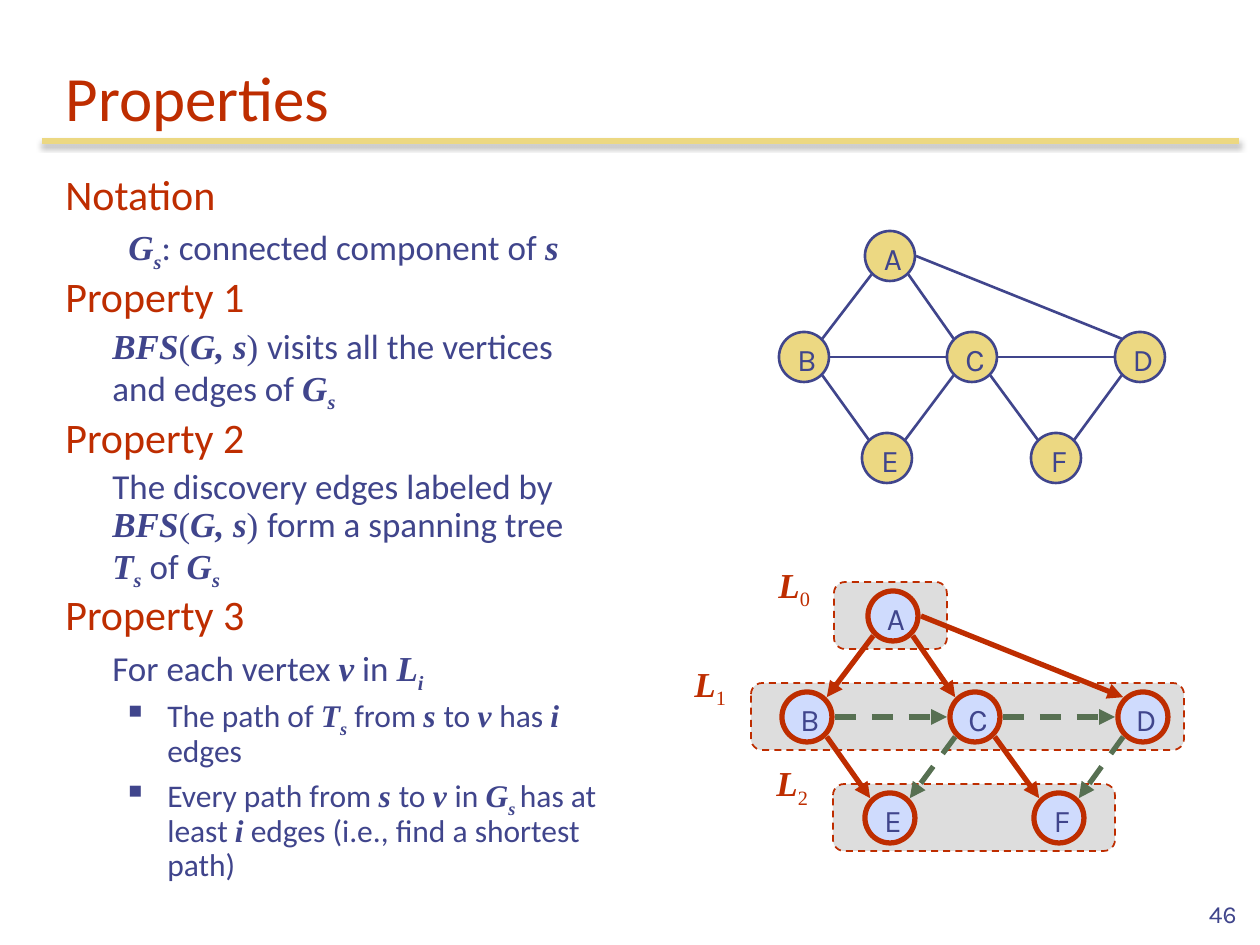
from dataclasses import dataclass
from math import copysign, hypot
from typing import NamedTuple

from pptx import Presentation
from pptx.dml.color import RGBColor
from pptx.enum.dml import MSO_LINE
from pptx.enum.shapes import MSO_CONNECTOR, MSO_SHAPE
from pptx.enum.text import MSO_ANCHOR, MSO_AUTO_SIZE, PP_ALIGN
from pptx.oxml import parse_xml
from pptx.oxml.ns import nsdecls, qn
from pptx.util import Emu, Pt

EMU_PER_PX = 914400 / 126
RED, NAVY, YELLOW, GREEN = "BE2D00", "40458C", "ECD882", "577052"
PALE_BLUE, GREY = "CFDBFD", "DDDDDD"
SANS, SERIF, LABEL_FONT = "Calibri", "Times New Roman", "Karla"
NODE_SIZE = 50


class Span(NamedTuple):
    text: str
    font: str = SANS
    strong: bool = False
    subscript: bool = False


class Para(NamedTuple):
    spans: list
    size: int = 20
    color: str = NAVY
    margin: int = 47
    bullet: bool = False


class Box(NamedTuple):
    left: int
    top: int
    width: int
    height: int


class Level(NamedTuple):
    number: str
    band: Box
    label: Box


@dataclass
class GraphStyle:
    shift: tuple
    fill: str
    line: str
    weight: float
    reach: int  # distance from a node's centre to the end of an edge
    arrows: bool = False
    cross_edges: tuple = ()


NODES = {"A": (890, 256), "B": (804, 357), "C": (972, 357),
         "D": (1140, 357), "E": (887, 458), "F": (1056, 458)}
EDGES = ("AB", "AC", "AD", "BC", "CD", "BE", "CE", "CF", "DF")
GRAPHS = (
    GraphStyle((0, 0), YELLOW, NAVY, 1.5, 26),
    GraphStyle((3, 360), PALE_BLUE, RED, 3, 28, True, ("BC", "CD", "CE", "DF")),
)
LEVELS = (
    Level("0", Box(834, 582, 113, 67), Box(766, 557, 64, 54)),
    Level("1", Box(751, 683, 433, 67), Box(682, 656, 64, 54)),
    Level("2", Box(833, 784, 282, 67), Box(764, 755, 64, 54)),
)


def math(text: str) -> Span:
    return Span(text, SERIF, strong=True)


def upright(text: str) -> Span:
    return Span(text, SERIF)


def sub(text: str) -> Span:
    return Span(text, SERIF, strong=True, subscript=True)


def heading(text: str) -> Para:
    return Para([Span(text)], 24, RED, 0)


def bullet(*spans: Span) -> Para:
    return Para(list(spans), 18, margin=102, bullet=True)


BFS_CALL = [math("BFS"), upright("("), math("G, s"), upright(") ")]
G_S = [math("G"), sub("s")]
T_S = [math("T"), sub("s")]
BODY = (
    heading("Notation"),
    Para([*G_S, Span(": connected component of "), math("s")], margin=63),
    heading("Property 1"),
    Para([*BFS_CALL, Span("visits all the vertices and edges of "), *G_S]),
    heading("Property 2"),
    Para([Span("The discovery edges labeled by "), *BFS_CALL,
          Span("form a spanning tree "), *T_S, Span(" of "), *G_S]),
    heading("Property 3"),
    Para([Span("For each vertex "), math("v"), Span(" in "), math("L"), sub("i")]),
    bullet(Span("The path of "), *T_S, Span(" from "), math("s "), Span("to "),
           math("v "), Span("has "), math("i"), Span(" edges")),
    bullet(Span("Every path from "), math("s "), Span("to "), math("v "), Span("in "),
           math("G"), sub("s "), Span("has at least "), math("i"),
           Span(" edges (i.e., find a shortest path)")),
)


def px(value: float) -> Emu:
    return Emu(round(value * EMU_PER_PX))


def rgb(color: str) -> RGBColor:
    return RGBColor.from_string(color)


def set_format(target, values: dict) -> None:
    for name, value in values.items():
        setattr(target, name, value)


def add_span(paragraph, span: Span, size: int, color: str) -> None:
    run = paragraph.add_run()
    run.text = span.text
    set_format(run.font, {"name": span.font, "size": Pt(size),
                          "bold": span.strong, "italic": span.strong})
    run.font.color.rgb = rgb(color)
    if span.subscript:
        run.font._element.set("baseline", "-25000")


def add_text_box(slide, box: Box, anchor=MSO_ANCHOR.TOP):
    frame = slide.shapes.add_textbox(*map(px, box)).text_frame
    set_format(frame, {"word_wrap": True, "vertical_anchor": anchor})
    return frame


def add_body(slide, box: Box) -> None:
    frame = add_text_box(slide, box)
    for index, para in enumerate(BODY):
        paragraph = frame.add_paragraph() if index else frame.paragraphs[0]
        set_format(paragraph, {"line_spacing": 0.9, "space_before": Pt(4 if index else 0)})
        properties = paragraph._p.get_or_add_pPr()
        properties.set("marL", str(px(para.margin)))
        properties.set("indent", str(px(-39 if para.bullet else 0)))
        if para.bullet:
            for mark in (f'<a:buClr {nsdecls("a")}><a:srgbClr val="{NAVY}"/></a:buClr>',
                         f'<a:buSzPct {nsdecls("a")} val="60000"/>',
                         f'<a:buChar {nsdecls("a")} char="■"/>'):
                properties.append(parse_xml(mark))
        for span in para.spans:
            add_span(paragraph, span, para.size, para.color)


def add_outlined(slide, kind, box: Box, fill: str, line: str, weight: float):
    shape = slide.shapes.add_shape(kind, *map(px, box))
    shape.shadow.inherit = False
    shape.fill.solid()
    shape.fill.fore_color.rgb = rgb(fill)
    shape.line.color.rgb = rgb(line)
    shape.line.width = Pt(weight)
    return shape


def add_line(slide, start, end, color: str, weight: float, effects: str = ""):
    ends = [px(value) for value in (*start, *end)]
    line = slide.shapes.add_connector(MSO_CONNECTOR.STRAIGHT, *ends)
    line.line.color.rgb = rgb(color)
    line.line.width = Pt(weight)
    line._element.spPr.append(
        parse_xml(f'<a:effectLst {nsdecls("a")}>{effects}</a:effectLst>'))
    return line


def add_level(slide, level: Level) -> None:
    band = add_outlined(slide, MSO_SHAPE.ROUNDED_RECTANGLE, level.band, GREY, RED, 1)
    band.line.dash_style = MSO_LINE.DASH
    paragraph = add_text_box(slide, level.label).paragraphs[0]
    add_span(paragraph, math("L"), 20, RED)
    add_span(paragraph, Span(level.number, SERIF, subscript=True), 20, RED)


def edge_end(center, dx: int, dy: int, reach: int):
    """Point at the given reach from a node, in one of eight directions."""
    step_x, step_y = (copysign(1, d) if d else 0 for d in (dx, dy))
    scale = reach / hypot(step_x, step_y)
    return center[0] + step_x * scale, center[1] + step_y * scale


def add_graph(slide, style: GraphStyle) -> None:
    centers = {name: (x + style.shift[0], y + style.shift[1])
               for name, (x, y) in NODES.items()}
    for name, (x, y) in centers.items():
        box = Box(x - NODE_SIZE // 2, y - NODE_SIZE // 2, NODE_SIZE, NODE_SIZE)
        node = add_outlined(slide, MSO_SHAPE.OVAL, box, style.fill, style.line, style.weight)
        frame = node.text_frame
        set_format(frame, {"word_wrap": False, "vertical_anchor": MSO_ANCHOR.MIDDLE,
                           "margin_left": px(6), "margin_top": px(4),
                           "margin_right": 0, "margin_bottom": 0})
        frame.paragraphs[0].alignment = PP_ALIGN.CENTER
        add_span(frame.paragraphs[0], Span(name, LABEL_FONT), 18, NAVY)
    for edge in EDGES:
        start, end = (centers[name] for name in edge)
        dx, dy = end[0] - start[0], end[1] - start[1]
        leave_dy = 0 if abs(dx) > 2 * abs(dy) else dy
        crossing = edge in style.cross_edges
        line = add_line(slide, edge_end(start, dx, leave_dy, style.reach),
                        edge_end(end, -dx, -dy, style.reach),
                        GREEN if crossing else style.line, style.weight)
        if crossing:
            line.line.dash_style = MSO_LINE.DASH
        if style.arrows:
            line._element.spPr.find(qn("a:ln")).append(
                parse_xml(f'<a:tailEnd {nsdecls("a")} type="triangle"/>'))


def add_title(slide, text: str) -> None:
    title = slide.shapes.title
    box = Box(53, 42, 1176, 98)
    set_format(title, dict(zip(box._fields, map(px, box))))
    set_format(title.text_frame, {"vertical_anchor": MSO_ANCHOR.BOTTOM, "word_wrap": True,
                                  "auto_size": MSO_AUTO_SIZE.NONE})
    paragraph = title.text_frame.paragraphs[0]
    paragraph.alignment = PP_ALIGN.LEFT
    add_span(paragraph, Span(text), 36, RED)
    shadow = ('<a:outerShdw blurRad="39400" dist="22900" dir="5400000">'
              '<a:srgbClr val="000000"><a:alpha val="35000"/></a:srgbClr></a:outerShdw>')
    add_line(slide, (42, 141), (1239, 141), YELLOW, 3, shadow)


def main() -> None:
    deck = Presentation()
    deck.slide_width, deck.slide_height = px(1260), px(945)
    slide = deck.slides.add_slide(deck.slide_layouts[5])
    add_title(slide, "Properties")
    add_body(slide, Box(53, 168, 557, 726))
    for level in LEVELS:
        add_level(slide, level)
    for style in GRAPHS:
        add_graph(slide, style)
    number = add_text_box(slide, Box(987, 872, 262, 63), MSO_ANCHOR.BOTTOM).paragraphs[0]
    number.alignment = PP_ALIGN.RIGHT
    add_span(number, Span("46", LABEL_FONT), 14, NAVY)
    deck.save("out.pptx")


if __name__ == "__main__":
    main()
